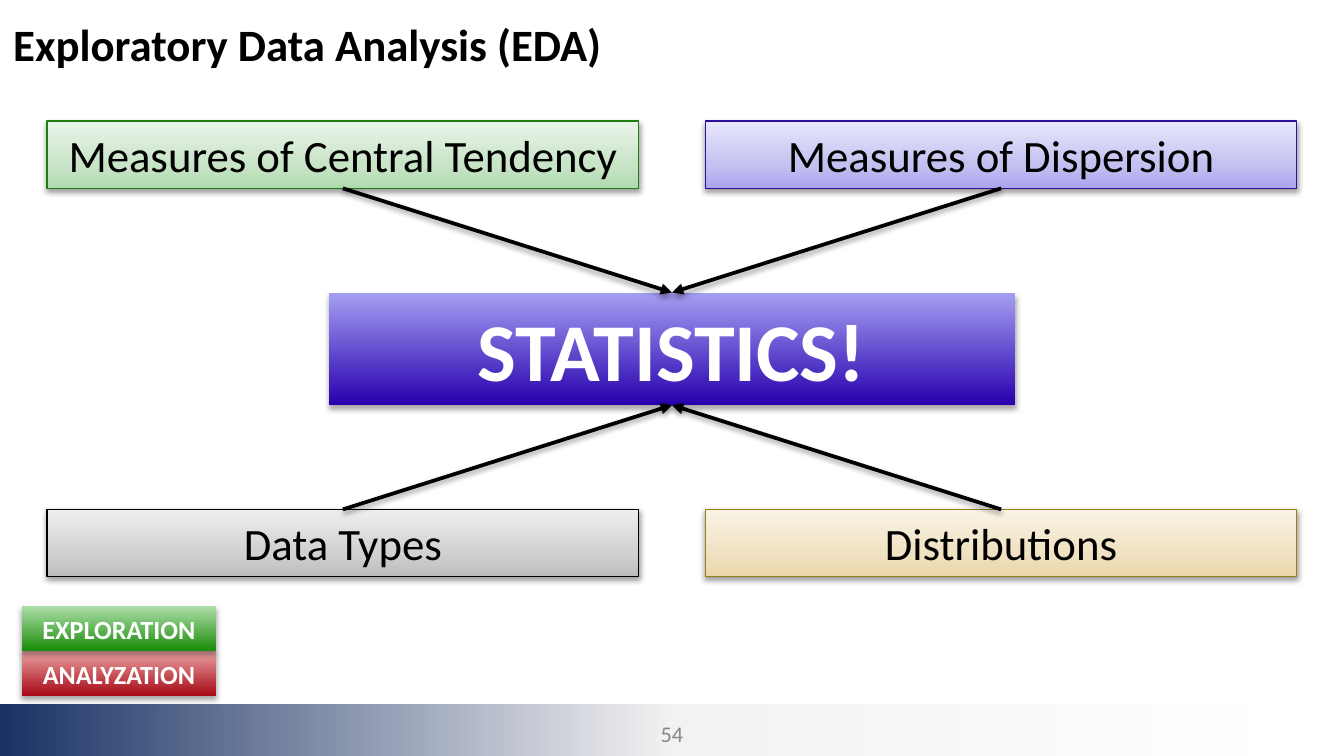
from copy import deepcopy

from lxml.etree import SubElement
from pptx import Presentation
from pptx.dml.color import RGBColor as RGB
from pptx.enum.shapes import MSO_CONNECTOR as CONN, MSO_SHAPE as SHAPE
from pptx.enum.text import MSO_ANCHOR as ANCHOR, PP_ALIGN as ALIGN
from pptx.oxml.ns import qn
from pptx.util import Cm, Pt

COLORS = {
    "black": "000000",
    "white": "FFFFFF",
    "number": "888888",
    "green_line": "217D13",
    "violet_line": "2E0E9B",
    "gold_line": "978017",
}
GRADIENTS = {
    "footer": ((0, "1A3265"), (50, "F2F2F2"), (100, "FFFFFF")),
    "red": ((0, "A50814"), (100, "ECA3A4")),
    "green": ((0, "198C07"), (100, "ADDEAA")),
    "violet": ((0, "2700AD"), (100, "A59FF3")),
    "pale_green": ((0, "B0DBAE"), (35, "C8E4C7"), (100, "EAF5E9")),
    "pale_violet": ((0, "AAA5ED"), (35, "C4C1F1"), (100, "E8E7FA")),
    "pale_gray": ((0, "BDBDBD"), (35, "D1D1D1"), (100, "EEEEEE")),
    "pale_gold": ((0, "EAD6A7"), (35, "EFE1C2"), (100, "FAF4E7")),
}
TOPICS = (
    ("Measures of Central Tendency", "pale_green", "green_line"),
    ("Measures of Dispersion", "pale_violet", "violet_line"),
    ("Data Types", "pale_gray", "black"),
    ("Distributions", "pale_gold", "gold_line"),
)
SLIDE_W, SLIDE_H = 25.4, 14.29


def color(name):
    return RGB.from_string(COLORS[name])


def write(sp, text, size, ink, bold=False, align=ALIGN.CENTER):
    tf = sp.text_frame
    tf.word_wrap = True
    tf.vertical_anchor = ANCHOR.MIDDLE
    p = tf.paragraphs[0]
    p.alignment = align
    r = p.add_run()
    r.text = text
    r.font.name = "Calibri"
    r.font.size = Pt(size)
    r.font.bold = bold
    r.font.color.rgb = color(ink)


def fill_gradient(sp, name, angle):
    stops = GRADIENTS[name]
    sp.fill.gradient()
    sp.fill.gradient_angle = angle
    gs_list = sp.element.spPr.find(qn("a:gradFill")).find(qn("a:gsLst"))
    for _ in stops[2:]:
        gs_list.append(deepcopy(gs_list[0]))
    for gs, (position, value) in zip(sp.fill.gradient_stops, stops):
        gs.position = position / 100
        gs.color.rgb = RGB.from_string(value)


def add_shadow(effects, distance, alpha):
    shadow = SubElement(effects, qn("a:outerShdw"), blurRad=str(Pt(3.1)),
                        dist=str(Pt(distance)), dir="5400000", rotWithShape="0")
    ink = SubElement(shadow, qn("a:srgbClr"), val=COLORS["black"])
    SubElement(ink, qn("a:alpha"), val=str(alpha * 1000))


def add_box(s, x, y, w, h, gradient, angle=90, line=None):
    sp = s.shapes.add_shape(SHAPE.RECTANGLE, Cm(x), Cm(y), Cm(w), Cm(h))
    sp.shadow.inherit = False
    fill_gradient(sp, gradient, angle)
    if line:
        sp.line.color.rgb = color(line)
        sp.line.width = Pt(0.75)
    else:
        sp.line.fill.background()
    return sp


def add_raised_box(s, x, y, w, h, gradient, line=None):
    sp = add_box(s, x, y, w, h, gradient, line=line)
    distance, alpha = (1.6, 38) if line else (1.8, 35)
    add_shadow(sp.element.spPr.find(qn("a:effectLst")), distance, alpha)
    return sp


def add_arrow(s, start, start_site, end, end_site):
    arrow = s.shapes.add_connector(CONN.STRAIGHT, 0, 0, 0, 0)
    arrow.begin_connect(start, start_site)
    arrow.end_connect(end, end_site)
    arrow.line.color.rgb = color("black")
    arrow.line.width = Pt(2)
    spPr = arrow.element.spPr
    SubElement(spPr.find(qn("a:ln")), qn("a:tailEnd"), type="triangle")
    add_shadow(SubElement(spPr, qn("a:effectLst")), 1.6, 38)


def add_footer(s, x, y, w, h):
    add_box(s, x, y, w, h, "footer", angle=0)
    number_w = 1.27
    number = s.shapes.add_textbox(
        Cm(x + (w - number_w) / 2), Cm(y + 0.18), Cm(number_w), Cm(0.76))
    write(number, "54", 12, "number")


def add_title(s, x, y, w, h):
    title = s.shapes.add_textbox(Cm(x), Cm(y), Cm(w), Cm(h))
    tf = title.text_frame
    tf.margin_top = tf.margin_bottom = Cm(0.25)
    write(title, "Exploratory Data Analysis (EDA)", 24, "black", True, ALIGN.LEFT)


def add_phases(s, x, y, w, h):
    row_h = h / 2
    for row, text, gradient in ((1, "ANALYZATION", "red"), (0, "EXPLORATION", "green")):
        sp = add_raised_box(s, x, y + row * row_h, w, row_h, gradient)
        write(sp, text, 14, "white", True)


def add_diagram(s, x, y, w, h):
    hub_w, hub_h = 12.98, 2.13
    topic_w, topic_h = 11.18, 1.27
    hub = add_raised_box(s, x + (w - hub_w) / 2, y + (h - hub_h) / 2,
                         hub_w, hub_h, "violet")
    write(hub, "STATISTICS!", 44, "white", True)
    topics = []
    for i, (text, gradient, line) in enumerate(TOPICS):
        row, col = divmod(i, 2)
        sp = add_raised_box(s, x + col * (w - topic_w), y + row * (h - topic_h),
                            topic_w, topic_h, gradient, line)
        write(sp, text, 24, "black")
        topics.append(sp)
    for i, sp in enumerate(topics):
        start_site, end_site = (2, 0) if i < 2 else (0, 2)
        add_arrow(s, sp, start_site, hub, end_site)


def main():
    prs = Presentation()
    prs.slide_width, prs.slide_height = Cm(SLIDE_W), Cm(SLIDE_H)
    s = prs.slides.add_slide(prs.slide_layouts[6])
    add_footer(s, 0, 13.31, SLIDE_W, 0.98)
    add_title(s, 0, 0, SLIDE_W, 1.65)
    add_phases(s, 0.41, 11.46, 3.68, 1.7)
    add_diagram(s, 0.89, 2.29, 23.62, 8.61)
    prs.save("out.pptx")


if __name__ == "__main__":
    main()
